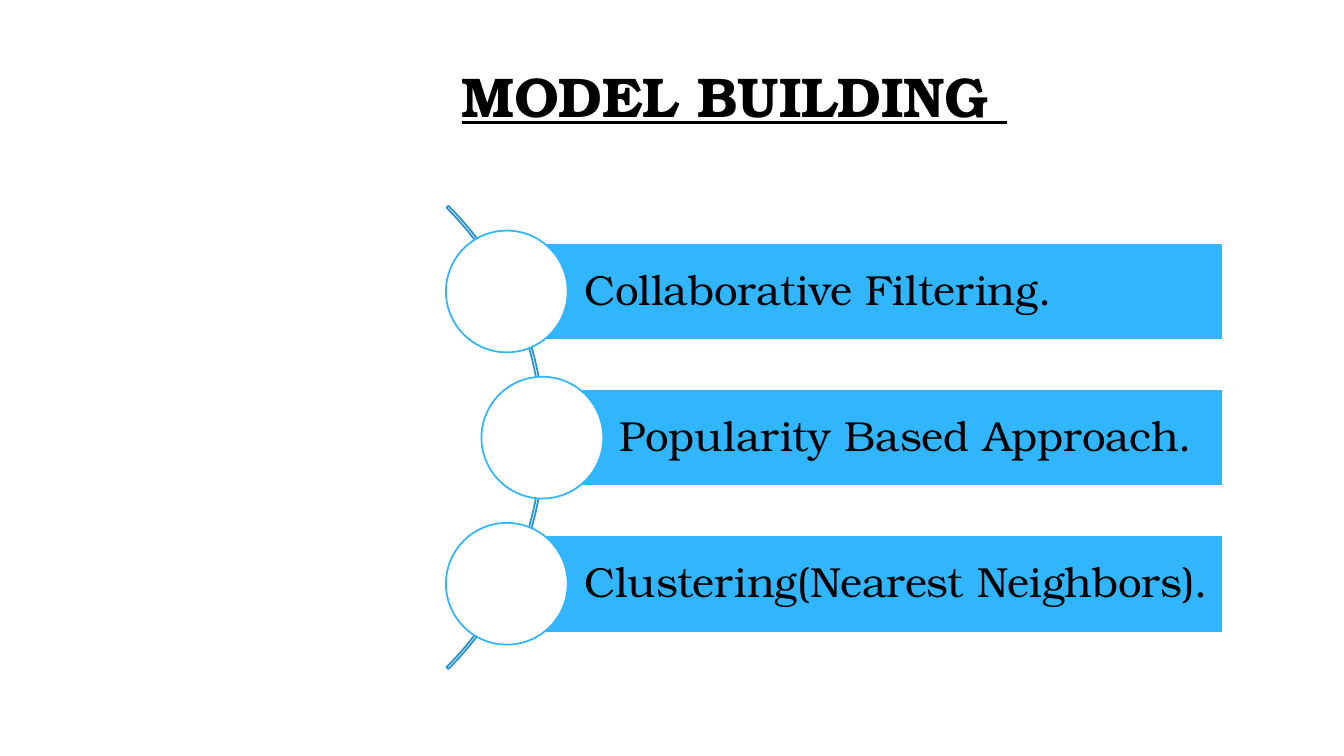
from pptx import Presentation
from pptx.dml.color import RGBColor
from pptx.enum.shapes import MSO_SHAPE as Shape
from pptx.enum.text import MSO_ANCHOR as Anchor, PP_ALIGN as Align
from pptx.util import Pt

TITLE = "MODEL BUILDING "
MODELS = ["Collaborative Filtering.", "Popularity Based Approach.", "Clustering(Nearest Neighbors)."]
BAR_LEFTS = [362, 387.4, 362]

FONT = "TeX Gyre Bonum"
COLORS = {"text": "000000", "bar": "31B6FD", "arc": "2792CB", "white": "FFFFFF"}

BAR_RIGHT, BAR_HEIGHT = 873.8, 69.6
FIRST_CENTER, PITCH = 208.2, 104.4
CIRCLE = 87
ARC_LEFT, ARC_TOP, ARC_SIZE = -79.2, 78.5, 468


def rgb(name):
    return RGBColor.from_string(COLORS[name])


def add_shape(slide, kind, box, fill, line):
    shape = slide.shapes.add_shape(kind, *map(Pt, box))
    shape.shadow.inherit = False
    if fill:
        shape.fill.solid()
        shape.fill.fore_color.rgb = rgb(fill)
    else:
        shape.fill.background()
    shape.line.color.rgb = rgb(line)
    shape.line.width = Pt(1.25)
    return shape


def write(frame, text, size):
    frame.word_wrap = True
    paragraph = frame.paragraphs[0]
    paragraph.text = text
    paragraph.alignment = Align.LEFT
    font = paragraph.font
    font.name, font.size = FONT, Pt(size)
    font.color.rgb = rgb("text")
    return paragraph


def add_title(slide):
    title = slide.shapes.add_textbox(Pt(322.6), Pt(40.3), Pt(589), Pt(55.4))
    font = write(title.text_frame, TITLE, 40).font
    font.bold = font.underline = True


def add_arc(slide):
    arc = add_shape(slide, Shape.BLOCK_ARC, (ARC_LEFT, ARC_TOP, ARC_SIZE, ARC_SIZE), None, "arc")
    for index, value in enumerate([189, 27, 0.004]):
        arc.adjustments[index] = value


def add_model(slide, text, left, center):
    """Draw a labelled bar with a circle centred on its left edge."""
    box = (left, center - BAR_HEIGHT / 2, BAR_RIGHT - left, BAR_HEIGHT)
    frame = add_shape(slide, Shape.RECTANGLE, box, "bar", "white").text_frame
    frame.vertical_anchor = Anchor.MIDDLE
    frame.margin_left = Pt(55.3)
    frame.margin_right = frame.margin_top = frame.margin_bottom = Pt(6)
    write(frame, text, 30).line_spacing = 0.9
    corner = (left - CIRCLE / 2, center - CIRCLE / 2)
    add_shape(slide, Shape.OVAL, (*corner, CIRCLE, CIRCLE), "white", "bar")


def main():
    presentation = Presentation()
    presentation.slide_width, presentation.slide_height = Pt(960), Pt(540)
    slide = presentation.slides.add_slide(presentation.slide_layouts[6])
    add_title(slide)
    add_arc(slide)
    for row, (text, left) in enumerate(zip(MODELS, BAR_LEFTS)):
        add_model(slide, text, left, FIRST_CENTER + row * PITCH)
    presentation.save("out.pptx")


if __name__ == "__main__":
    main()
